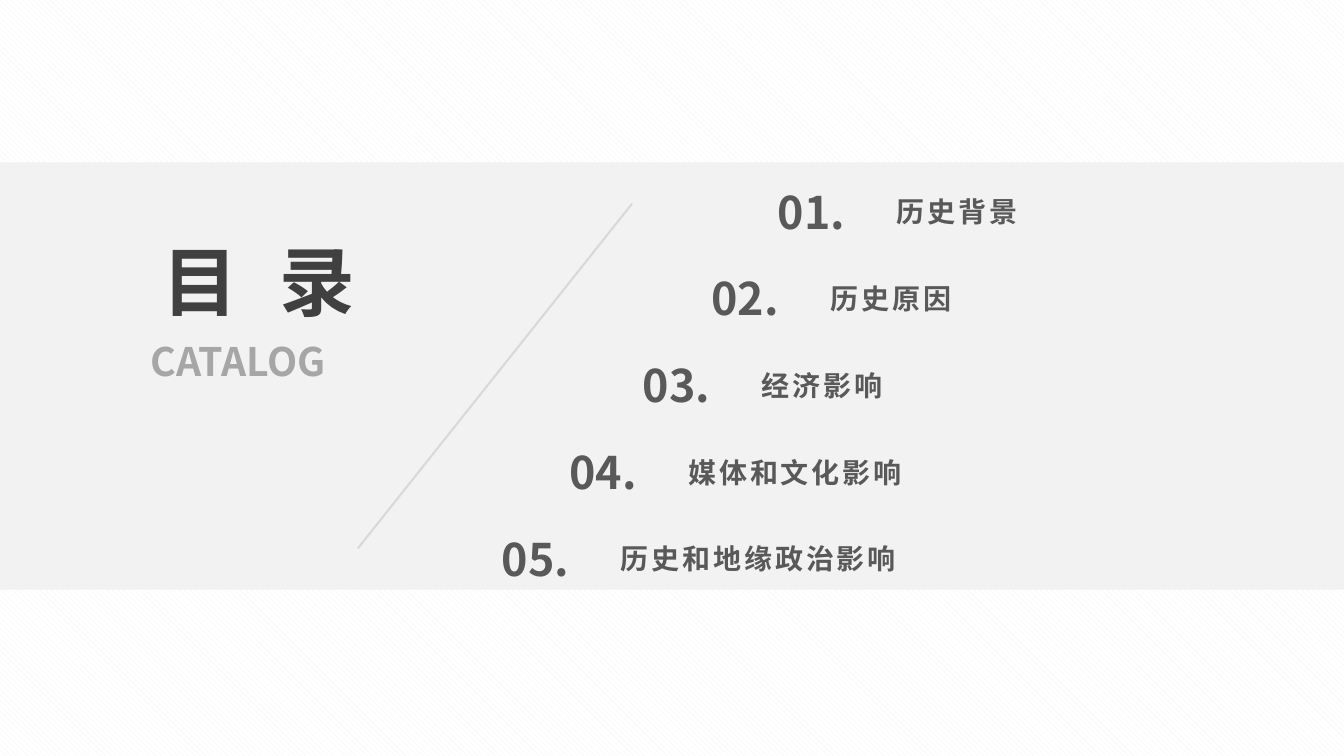
from collections import namedtuple

from lxml import etree
from pptx import Presentation
from pptx import util as u
from pptx.dml.color import RGBColor
from pptx.enum import dml, shapes, text
from pptx.oxml.ns import qn

WIDTH, HEIGHT = u.Inches(13.33), u.Inches(7.5)
COLUMNS = ROWS = 100
CJK = "Noto Sans CJK SC"

Box = namedtuple("Box", "left top width height")
BAND = Box(0, 21.47, 100, 56.53)

CHAPTERS = [
    (57.15, "历史背景"),
    (52.2, "历史原因"),
    (47.1, "经济影响"),
    (41.63, "媒体和文化影响"),
    (36.6, "历史和地缘政治影响"),
]


def color(value):
    return RGBColor.from_string(value)


def across(columns):
    return u.Emu(round(WIDTH * columns / COLUMNS))


def down(rows):
    return u.Emu(round(HEIGHT * rows / ROWS))


def emu(box):
    return across(box.left), down(box.top), across(box.width), down(box.height)


def inside(region, left, top, width, height):
    return Box(region.left + left, region.top + top, width, height)


def write(shape, words, size, ink, font=CJK, spacing=0,
          align=text.PP_ALIGN.LEFT, anchor=text.MSO_ANCHOR.TOP):
    frame = shape.text_frame
    frame.text = words
    frame.word_wrap = True
    frame.auto_size = text.MSO_AUTO_SIZE.NONE
    frame.vertical_anchor = anchor
    para = frame.paragraphs[0]
    para.alignment = align
    span = para.runs[0]
    span.font.size = u.Pt(size)
    span.font.bold = True
    span.font.color.rgb = color(ink)
    span.font.name = font
    properties = span._r.get_or_add_rPr()
    etree.SubElement(properties, qn("a:ea")).set("typeface", CJK)
    if spacing:
        properties.set("spc", str(spacing * 100))


def add_band(page, region):
    band = page.shapes.add_shape(shapes.MSO_SHAPE.RECTANGLE, *emu(region))
    band.shadow.inherit = False
    band.fill.solid()
    band.fill.fore_color.rgb = color("F2F2F2")
    band.line.fill.background()
    page.shapes._spTree.insert(2, band._element)


def add_chapters(page, region):
    for index, (left, name) in enumerate(CHAPTERS):
        top = 2.27 + index * 11.47
        number = page.shapes.add_textbox(*emu(inside(region, left, top, 7.43, 8.53)))
        write(number, f"{index + 1:02d}.", 32, "595959")
        label = page.shapes.add_textbox(
            *emu(inside(region, left + 8.85, top + 1.33, 23.5, 5.87)))
        write(label, name, 20, "595959", font="Arial", spacing=2,
              anchor=text.MSO_ANCHOR.MIDDLE)


def add_heading(page, region):
    title = page.shapes.title
    title.left, title.top, title.width, title.height = emu(
        inside(region, 6.38, 8.8, 25.8, 13.47))
    write(title, "目录", 54, "404040", spacing=30,
          align=text.PP_ALIGN.CENTER, anchor=text.MSO_ANCHOR.BOTTOM)
    subtitle = page.shapes.add_textbox(*emu(inside(region, 9.15, 22.53, 17.18, 7.6)))
    write(subtitle, "CATALOG", 28, "A6A6A6", align=text.PP_ALIGN.CENTER)


def add_divider(page, region):
    divider = page.shapes.add_connector(
        shapes.MSO_CONNECTOR.STRAIGHT,
        across(region.left + 26.63), down(region.top + 51.07),
        across(region.left + 47.03), down(region.top + 5.47))
    divider.line.color.rgb = color("D9D9D9")
    divider.line.width = u.Pt(1.5)
    etree.SubElement(divider._element.spPr, qn("a:effectLst"))


def add_catalog(deck):
    page = deck.slides.add_slide(deck.slide_layouts[5])
    fill = page.background.fill
    fill.patterned()
    fill.pattern = dml.MSO_PATTERN.WIDE_DOWNWARD_DIAGONAL
    fill.fore_color.rgb = color("F2F2F2")
    fill.back_color.rgb = color("FFFFFF")
    add_band(page, BAND)
    add_chapters(page, BAND)
    add_heading(page, BAND)
    add_divider(page, BAND)


def main():
    deck = Presentation()
    deck.slide_width, deck.slide_height = WIDTH, HEIGHT
    add_catalog(deck)
    deck.save("out.pptx")


if __name__ == "__main__":
    main()
